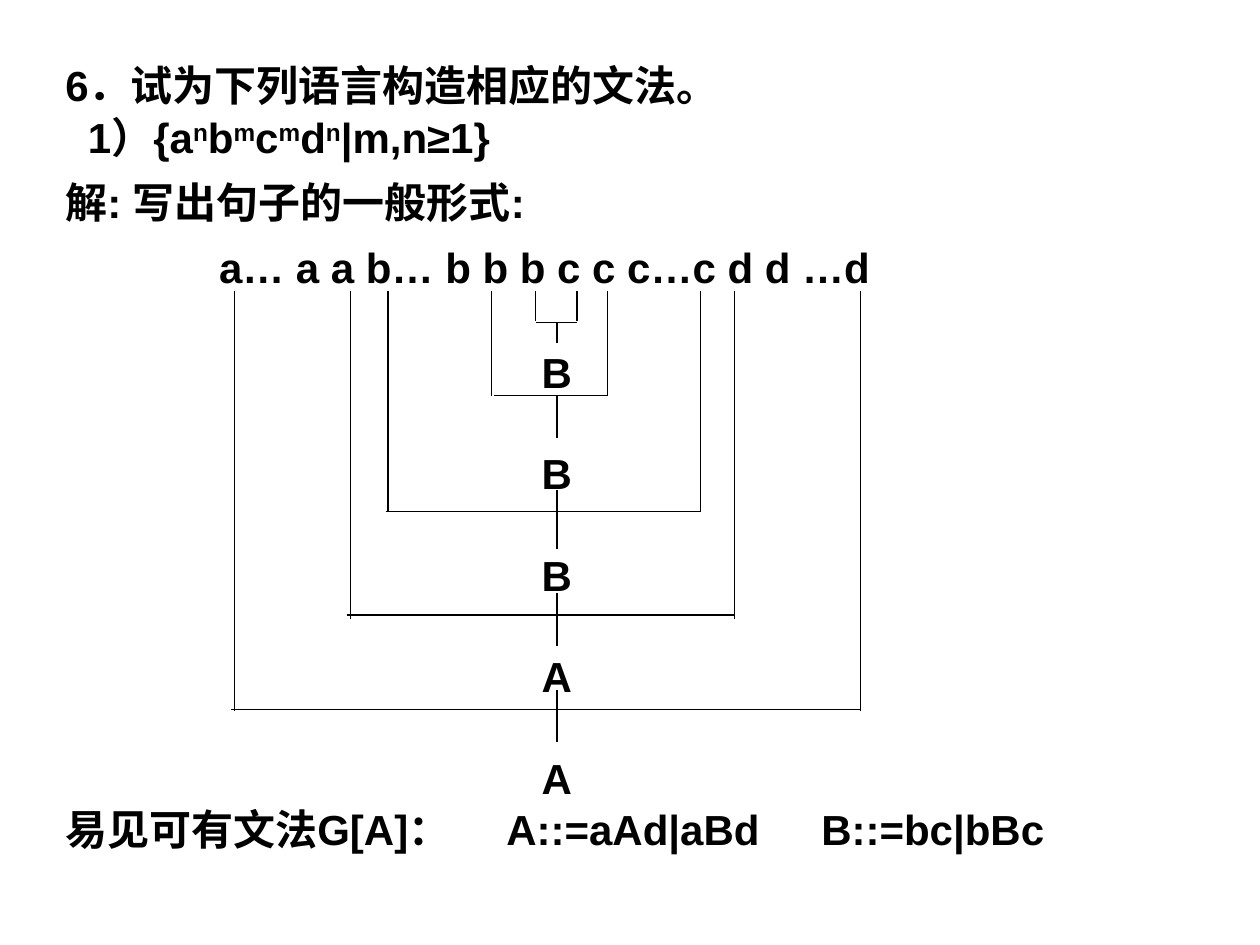
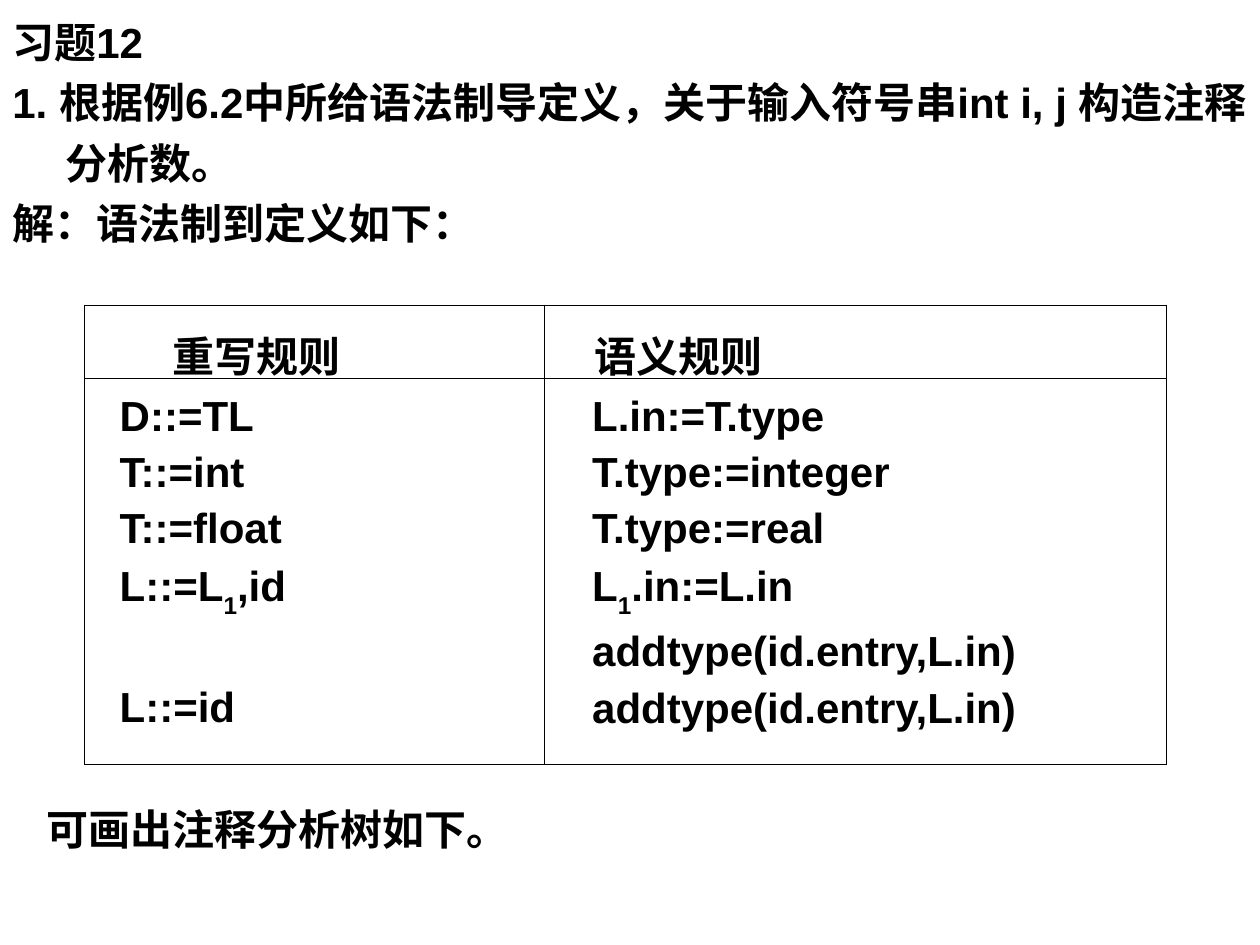
import lxml.etree
import pptx
import pptx.dml.color
import pptx.enum.shapes
import pptx.enum.text
import pptx.oxml.ns
import pptx.util

WIDE, HIGH = 10, 7.5
FONT, SIZE, INK = "Arial", 24, "000000"
SUPER, SUB = 30000, -30000
LEAD = 29
TOP, AXIS = 2.31, 4.42
inch = pptx.util.Inches
qn = pptx.oxml.ns.qn

# left leg, right leg, start of bar, foot of legs, bar, top and end of stem
NESTS = [
    (4.25, 4.58, 4.25, 2.55, 2.56, 2.56, 2.72),
    (3.9, 4.82, 3.92, 3.14, 3.14, 3.14, 3.48),
    (3.08, 5.56, 3.06, 4.06, 4.06, 3.89, 4.36),
    (2.78, 5.83, 2.75, 4.91, 4.88, 4.71, 5.13),
    (1.86, 6.83, 1.83, 5.64, 5.63, 5.48, 5.89),
]

# indent, space before, runs
PROOF = [
    (0, 0, ["6．试为下列语言构造相应的文法。"]),
    (0.18, 1, ["1）{a", ("n", SUPER), "b", ("m", SUPER), "c", ("m", SUPER),
               "d", ("n", SUPER), "|m,n≥1}"]),
    (0, 8, ["解: 写出句子的一般形式:"]),
    (1.22, 8, ["a… a a b… b b b c c c…c d d …d"]),
    (3.78, 31, ["B"]),
    *[(3.78, LEAD, [sign]) for sign in "BBAA"],
    (0, 0, ["易见可有文法G[A]：\tA::=aAd|aBd\tB::=bc|bBc"]),
]

TASK = ["习题12",
        "1. 根据例6.2中所给语法制导定义，关于输入符号串int i, j 构造注释分析数。",
        "解：语法制到定义如下："]

# indent and lines of each cell
RULES = [
    [(0.6, [(0, ["重写规则"])]), (0.3, [(0, ["语义规则"])])],
    [(0.18, [(0, ["D::=TL"]), (0, ["T::=int"]), (0, ["T::=float"]),
             (0, ["L::=L", ("1", SUB), ",id"]), (32, ["L::=id"])]),
     (0.28, [(0, ["L.in:=T.type"]), (0, ["T.type:=integer"]),
             (0, ["T.type:=real"]), (0, ["L", ("1", SUB), ".in:=L.in"]),
             (0, ["addtype(id.entry,L.in)"]),
             (0, ["addtype(id.entry,L.in)"])])],
]


def tint(code):
    """Turn a hex string into a colour."""
    return pptx.dml.color.RGBColor.from_string(code)


def write(para, runs, left=0, hang=0, space=0, lead=None, tabs=()):
    """Fill one paragraph with plain and raised or lowered runs."""
    props = para._p.get_or_add_pPr()
    props.set("marL", str(inch(left)))
    props.set("indent", str(inch(hang)))
    if lead:
        para.line_spacing = lead
    if space:
        para.space_before = pptx.util.Pt(space)
    if tabs:
        stops = lxml.etree.SubElement(props, qn("a:tabLst"))
        for place in tabs:
            lxml.etree.SubElement(stops, qn("a:tab"), pos=str(inch(place)), algn="l")
    para.font.name, para.font.bold = FONT, True
    para.font.size = pptx.util.Pt(SIZE)
    para.font.color.rgb = tint(INK)
    for item in runs:
        text, shift = (item, 0) if isinstance(item, str) else item
        run = para.add_run()
        run.text = text
        if shift:
            run._r.get_or_add_rPr().set("baseline", str(shift))


def lines(frame, items):
    """Write one paragraph for each set of options."""
    for i, item in enumerate(items):
        para = frame.add_paragraph() if i else frame.paragraphs[0]
        write(para, **item)


def box(slide, left, top, wide, high, items):
    """Add a wrapping text box."""
    shape = slide.shapes.add_textbox(*map(inch, (left, top, wide, high)))
    shape.text_frame.word_wrap = True
    lines(shape.text_frame, items)


def line(slide, *ends):
    """Draw a thin straight line."""
    kind = pptx.enum.shapes.MSO_CONNECTOR.STRAIGHT
    link = slide.shapes.add_connector(kind, *map(inch, ends))
    link.line.color.rgb = tint(INK)
    link.line.width = pptx.util.Pt(0.75)
    lxml.etree.SubElement(link._element.spPr, qn("a:effectLst"))


def nest(slide, left, right, start, foot, bar, top, end):
    """Join two symbols of the sentence under one bar."""
    line(slide, left, TOP, left, foot)
    line(slide, right, TOP, right, foot)
    line(slide, start, bar, right, bar)
    line(slide, AXIS, top, AXIS, end)


def edge(cell):
    """Rule the four sides of a cell and clear its fill."""
    props = cell._tc.get_or_add_tcPr()
    for side in "LRTB":
        rule = lxml.etree.SubElement(props, qn("a:ln" + side),
                                     w=str(pptx.util.Pt(0.45)))
        fill = lxml.etree.SubElement(rule, qn("a:solidFill"))
        lxml.etree.SubElement(fill, qn("a:srgbClr"), val=INK)
    cell.fill.background()


def grid(slide, left, top, cols, rows, cells):
    """Add a ruled table."""
    size = map(inch, (left, top, sum(cols), sum(rows)))
    table = slide.shapes.add_table(len(rows), len(cols), *size).table
    table.first_row = table.horz_banding = False
    for i, wide in enumerate(cols):
        table.columns[i].width = inch(wide)
    for i, high in enumerate(rows):
        table.rows[i].height = inch(high)
        for j, (shift, body) in enumerate(cells[i]):
            cell = table.cell(i, j)
            edge(cell)
            lines(cell.text_frame, [dict(runs=runs, left=shift, space=space, lead=1.2)
                                    for space, runs in body])


def main():
    """Build both slides."""
    deck = pptx.Presentation()
    deck.slide_width, deck.slide_height = inch(WIDE), inch(HIGH)
    first, second = [deck.slides.add_slide(deck.slide_layouts[6]) for _ in range(2)]

    items = [dict(runs=runs, left=left, space=space, lead=pptx.util.Pt(LEAD))
             for left, space, runs in PROOF]
    items[-1]["tabs"] = (3.45, 5.65)
    box(first, 0.42, 0.42, 9.17, 6.37, items)
    for row in NESTS:
        nest(first, *row)

    box(second, 0, 0, WIDE, 2.02,
        [dict(runs=[text], left=0.42, hang=-0.42, lead=1.2) for text in TASK])
    grid(second, 0.67, 2.42, (3.65, 4.94), (0.58, 3.07), RULES)
    box(second, 0.27, 6.33, 9.73, 0.5, [dict(runs=["可画出注释分析树如下。"])])
    deck.save("out.pptx")


if __name__ == "__main__":
    main()
